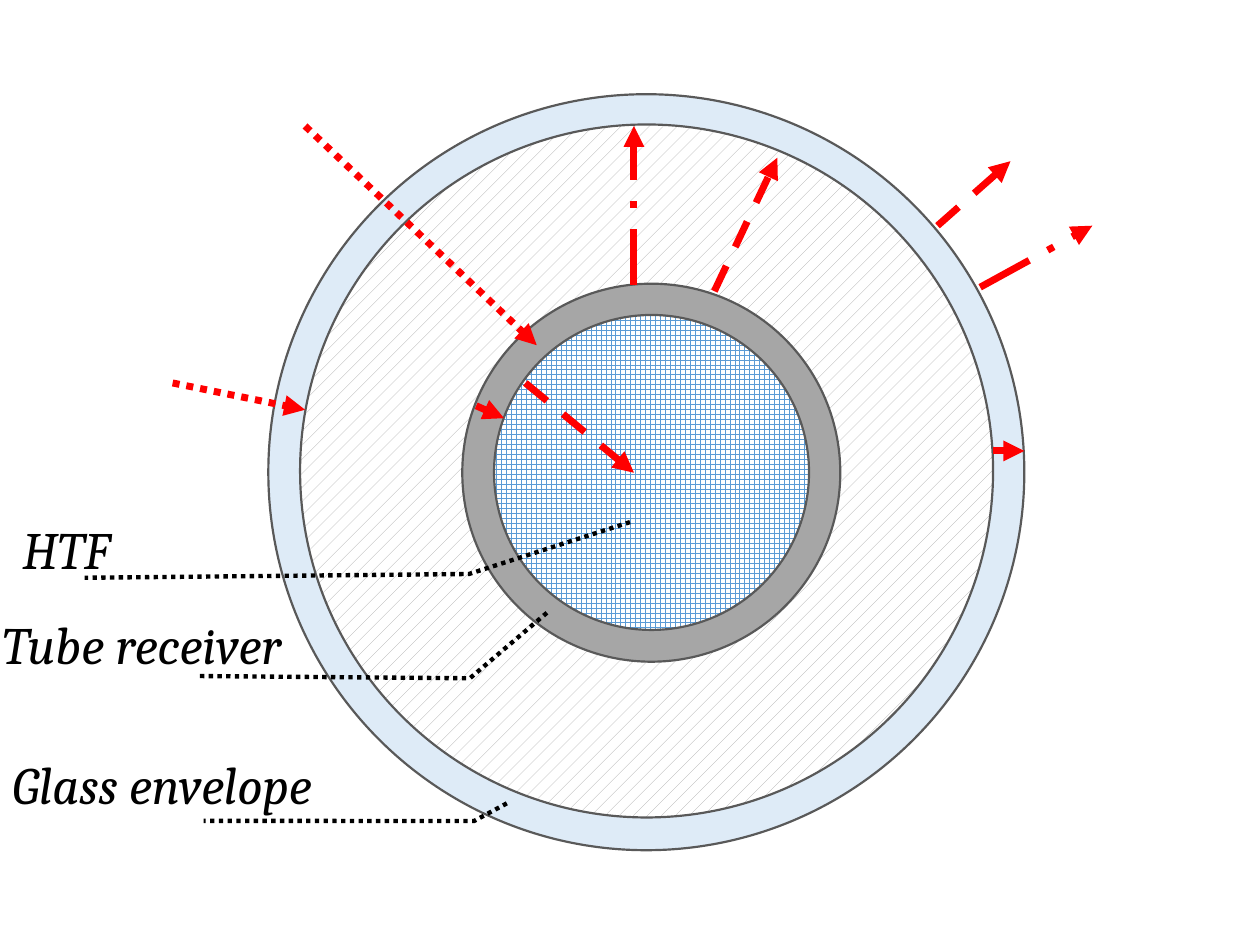
from dataclasses import dataclass

from pptx import Presentation
from pptx.dml.color import RGBColor
from pptx.enum.dml import MSO_LINE, MSO_PATTERN
from pptx.enum.shapes import MSO_CONNECTOR, MSO_SHAPE
from pptx.enum.text import MSO_AUTO_SIZE
from pptx.oxml.ns import qn
from pptx.util import Cm, Pt
from lxml import etree

OVAL = MSO_SHAPE.OVAL
CALLOUT = MSO_SHAPE.LINE_CALLOUT_2_NO_BORDER
STRAIGHT = MSO_CONNECTOR.STRAIGHT
DOT, DASH, LONG = MSO_LINE.ROUND_DOT, MSO_LINE.DASH, MSO_LINE.LONG_DASH_DOT
DOTS, GRID = MSO_PATTERN.PERCENT_10, MSO_PATTERN.LARGE_GRID
FIT = MSO_AUTO_SIZE.SHAPE_TO_FIT_TEXT


@dataclass(frozen=True)
class Theme:
    glass: str = "DEEBF7"
    metal: str = "A6A6A6"
    fluid: str = "5B9BD5"
    paper: str = "FFFFFF"
    edge: str = "595959"
    heat: str = "FF0000"
    ink: str = "000000"
    font: str = "Cambria"
    size: float = 30
    rim: float = 1.25
    ray: float = 4
    lead: float = 2.5


THEME = Theme()

# Circles: left, top, diameter, colour, pattern (cm from the tube's box)
RINGS = [
    (0, 0, 15.24, THEME.glass, None),
    (0.64, 0.61, 13.97, THEME.metal, DOTS),
    (3.91, 3.82, 7.62, THEME.metal, None),
    (4.55, 4.45, 6.35, THEME.fluid, GRID),
]

# Heat flows: start, end, dash (cm from the tube's box)
RAYS = [
    ((14.61, 7.19), (15.24, 7.19), None),
    ((4.19, 6.28), (4.75, 6.53), None),
    ((13.49, 2.65), (14.96, 1.35), DASH),
    ((8.99, 3.97), (10.26, 1.28), DASH),
    ((14.35, 3.89), (16.61, 2.65), LONG),
    ((7.37, 3.84), (7.37, 0.64), LONG),
    ((5.18, 5.82), (7.37, 7.63), DASH),
    ((0.74, 0.64), (5.41, 5.06), DOT),
    ((-1.93, 5.82), (0.74, 6.36), DOT),
]

# Labels: text, its left, top and width, leader left and top, leader bends
LABELS = [
    ("HTF", 0.2, 0, 2.67, 10.95, 0.4,
     (-0.041, 0.423, 0.22, -0.361, 0.239, -2.233)),
    ("Tube receiver", -0.2, 1.93, 7.29, 11.05, 1.78,
     (0.071, -0.006, 0.4, -0.381, 0.389, -1.697)),
    ("Glass envelope", 0, 4.75, 8.79, 11.05, 5.38,
     (0.131, -0.201, 0.22, -0.361, 0.219, -1.678)),
]


def tint(text):
    return RGBColor.from_string(text)


def style(item, **values):
    for name, value in values.items():
        setattr(item, name, value)


def stroke(line, color, width, dash=None):
    line.color.rgb = tint(color)
    style(line, width=Pt(width), dash_style=dash)


def add_rings(slide, box):
    """Nested circles of the tube's cross-section."""
    left, top = box
    for x, y, size, color, pattern in RINGS:
        ring = slide.shapes.add_shape(
            OVAL, Cm(left + x), Cm(top + y), Cm(size), Cm(size))
        ring.shadow.inherit = False
        if pattern is None:
            ring.fill.solid()
            ring.fill.fore_color.rgb = tint(color)
        else:
            ring.fill.patterned()
            ring.fill.pattern = pattern
            ring.fill.fore_color.rgb = tint(color)
            ring.fill.back_color.rgb = tint(THEME.paper)
        stroke(ring.line, THEME.edge, THEME.rim)


def add_rays(slide, box):
    """Arrows for the heat flows."""
    left, top = box
    for (x1, y1), (x2, y2), dash in RAYS:
        ray = slide.shapes.add_connector(
            STRAIGHT, Cm(left + x1), Cm(top + y1), Cm(left + x2), Cm(top + y2))
        stroke(ray.line, THEME.heat, THEME.ray, dash)
        etree.SubElement(ray.line._get_or_add_ln(), qn("a:tailEnd"),
                         type="triangle")
        etree.SubElement(ray._element.spPr, qn("a:effectLst"))


def add_labels(slide, box):
    """Part names with their bent leader lines."""
    left, top = box
    for *_, x, y, bends in LABELS:
        lead = slide.shapes.add_shape(
            CALLOUT, Cm(left + x), Cm(top + y), Cm(4.14), Cm(4.01))
        lead.shadow.inherit = False
        lead.fill.background()
        stroke(lead.line, THEME.ink, THEME.lead, DOT)
        for index, bend in enumerate(bends):
            lead.adjustments[index] = bend
    for text, x, y, width, *_ in LABELS:
        frame = slide.shapes.add_textbox(
            Cm(left + x), Cm(top + y), Cm(width), Cm(1.55)).text_frame
        style(frame, word_wrap=True, auto_size=FIT)
        run = frame.paragraphs[0].add_run()
        run.text = text
        style(run.font, name=THEME.font, size=Pt(THEME.size), italic=True)
        run.font.color.rgb = tint(THEME.ink)


def main():
    deck = Presentation()
    style(deck, slide_width=Cm(25.4), slide_height=Cm(19.05))
    slide = deck.slides.add_slide(deck.slide_layouts[6])
    tube = (5.41, 1.9)
    add_rings(slide, tube)
    add_rays(slide, tube)
    add_labels(slide, (0, 10.29))
    deck.save("out.pptx")


if __name__ == "__main__":
    main()
